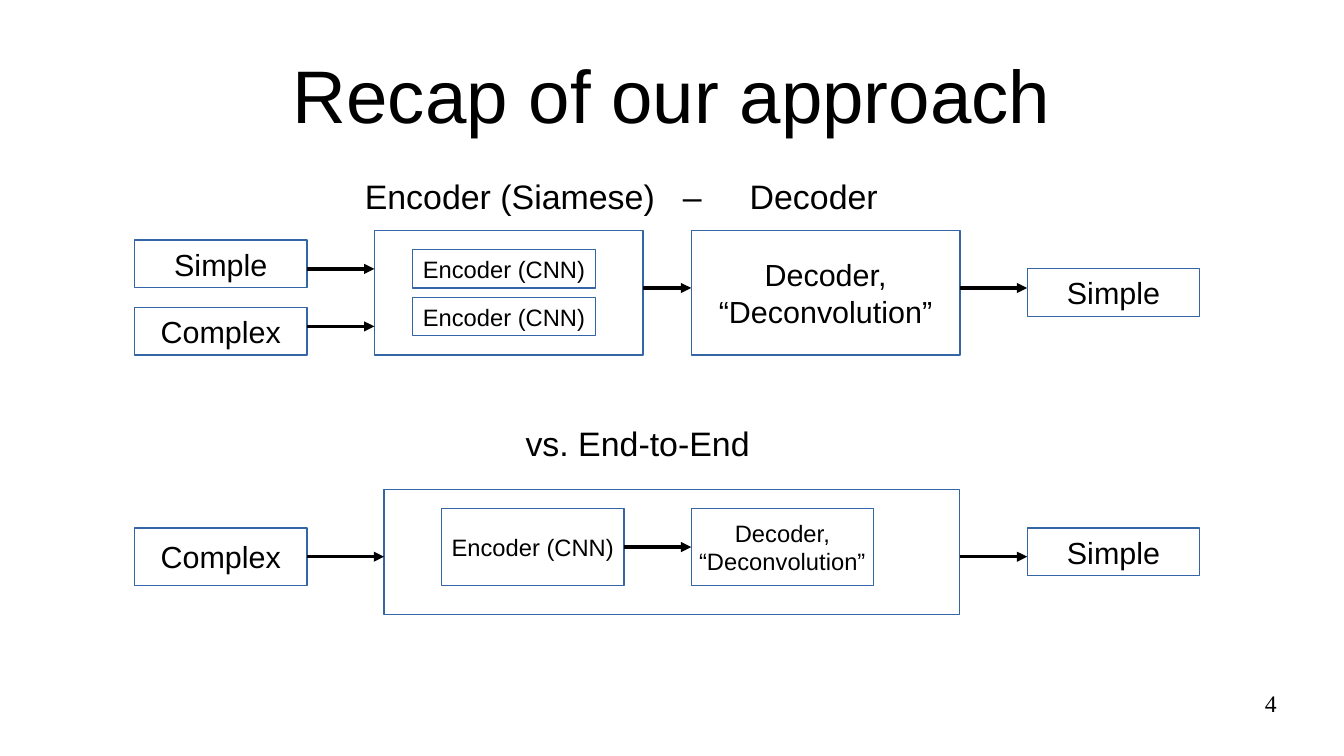
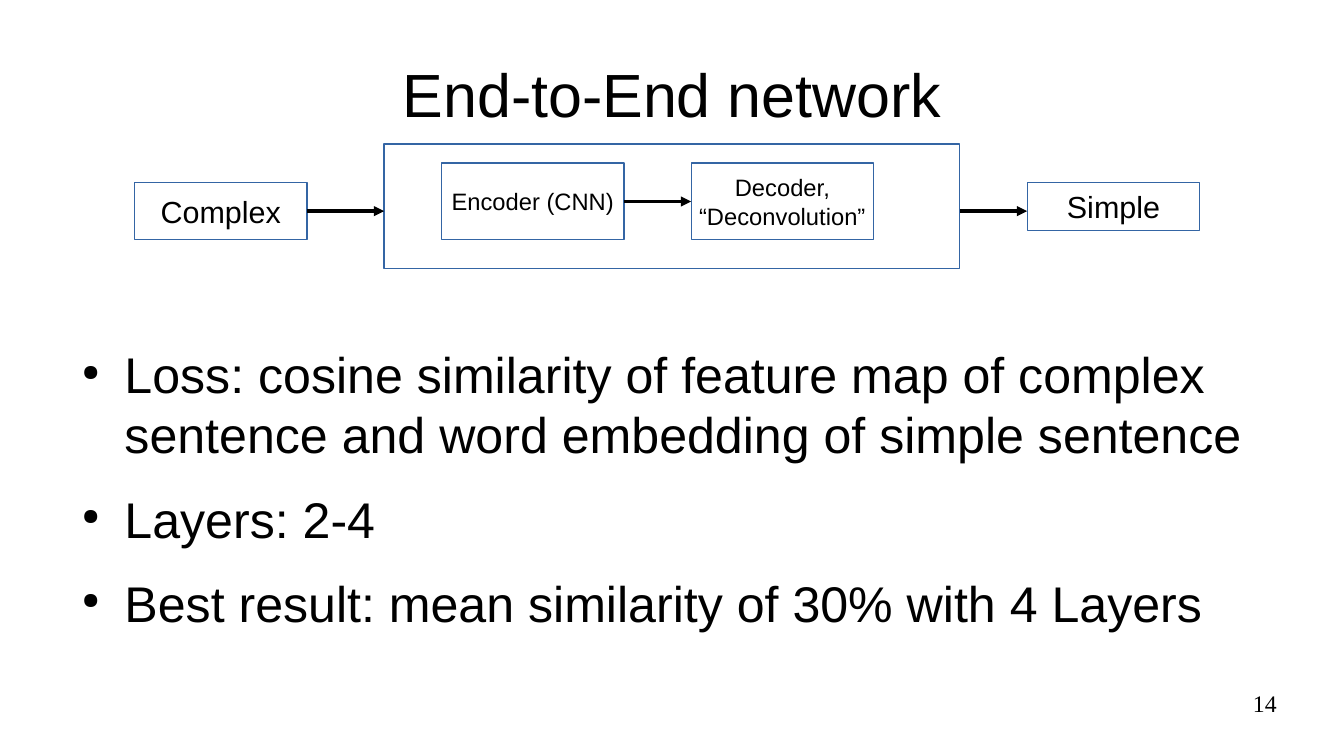
"""Build two slides on encoder and decoder networks."""
from typing import NamedTuple

import lxml.etree
import pptx
import pptx.dml.color
import pptx.enum.shapes
import pptx.enum.text
import pptx.oxml.ns
import pptx.slide
import pptx.text.text
import pptx.util

Pt = pptx.util.Pt
qn = pptx.oxml.ns.qn
Align = pptx.enum.text.PP_ALIGN
Anchor = pptx.enum.text.MSO_ANCHOR
INK = {"text": "000000", "edge": "3465A4", "page": "FFFFFF"}
WIDE, HIGH = 793.7, 446.5
EDGE, SPAN = 39.7, 714.3
INPUT, OUTPUT, DECODE = 79.4, 606.6, 408.2
PLAIN, BROAD, INNER = 102, 158.7, 107.7


class Box(NamedTuple):
    """An outlined box with an optional label."""
    left: float
    top: float
    width: float
    height: float
    text: str = ""
    size: float = 18


class Arrow(NamedTuple):
    """A level arrow."""
    start: float
    end: float
    top: float


def color(name: str) -> pptx.dml.color.RGBColor:
    """Look up a named colour."""
    return pptx.dml.color.RGBColor.from_string(INK[name])


def write(frame: pptx.text.text.TextFrame, text: str, *, size: float, font: str = "Arial",
          align: Align = Align.LEFT, anchor: Anchor = Anchor.TOP, wrap: bool = True,
          pad: tuple[float, float] = (0, 0), gap: float = 0,
          tabs: tuple[float, ...] = (), dots: bool = False) -> None:
    """Fill a frame with one paragraph per line of text."""
    frame.word_wrap, frame.vertical_anchor = wrap, anchor
    frame.margin_left = frame.margin_right = Pt(pad[0])
    frame.margin_top = frame.margin_bottom = Pt(pad[1])
    for rank, line in enumerate(text.split("\n")):
        para = frame.add_paragraph() if rank else frame.paragraphs[0]
        para.alignment = align
        if rank and gap:
            para.space_before = Pt(gap)
        props = para._p.get_or_add_pPr()
        if dots:
            props.set("marL", str(Pt(33.8)))
            props.set("indent", str(Pt(-25.2)))
            tint = lxml.etree.SubElement(props, qn("a:buClr"))
            lxml.etree.SubElement(tint, qn("a:srgbClr"), val=INK["text"])
            lxml.etree.SubElement(props, qn("a:buSzPct"), val="45000")
            lxml.etree.SubElement(props, qn("a:buChar"), char="●")
        if tabs:
            stops = lxml.etree.SubElement(props, qn("a:tabLst"))
            for stop in tabs:
                lxml.etree.SubElement(stops, qn("a:tab"), pos=str(Pt(stop)), algn="l")
        run = para.add_run()
        run.text = line
        run.font.size, run.font.name = Pt(size), font
        run.font.color.rgb = color("text")


def place(slide: pptx.slide.Slide, left: float, top: float, width: float,
          height: float) -> pptx.text.text.TextFrame:
    """Add a text box and return its frame."""
    return slide.shapes.add_textbox(Pt(left), Pt(top), Pt(width), Pt(height)).text_frame


def draw(slide: pptx.slide.Slide, box: Box) -> None:
    """Draw one outlined box."""
    shape = slide.shapes.add_shape(pptx.enum.shapes.MSO_SHAPE.RECTANGLE, Pt(box.left),
                                   Pt(box.top), Pt(box.width), Pt(box.height))
    shape.shadow.inherit = False
    shape.fill.background()
    shape.line.color.rgb = color("edge")
    shape.line.width = Pt(0)
    if box.text:
        write(shape.text_frame, box.text, size=box.size, align=Align.CENTER,
              anchor=Anchor.MIDDLE, wrap=False, pad=(7.2, 3.6))


def link(slide: pptx.slide.Slide, arrow: Arrow) -> None:
    """Draw one arrow."""
    line = slide.shapes.add_connector(pptx.enum.shapes.MSO_CONNECTOR.STRAIGHT, Pt(arrow.start),
                                      Pt(arrow.top), Pt(arrow.end), Pt(arrow.top))
    line.line.color.rgb = color("text")
    line.line.width = Pt(0)
    props = line.element.spPr
    lxml.etree.SubElement(props.find(qn("a:ln")), qn("a:tailEnd"), type="triangle")
    lxml.etree.SubElement(props, qn("a:effectLst"))


def chart(slide: pptx.slide.Slide, boxes: list[Box], arrows: list[Arrow]) -> None:
    """Draw boxes and the arrows between them."""
    for box in boxes:
        draw(slide, box)
    for arrow in arrows:
        link(slide, arrow)


def twin(slide: pptx.slide.Slide, top: float) -> None:
    """Draw the Siamese network below the given top."""
    boxes = [Box(INPUT, top + 5.7, PLAIN, 28.3, "Simple"),
             Box(INPUT, top + 45.4, PLAIN, 28.3, "Complex"),
             *(Box(243.8, top + 11.3 + 28.3 * row, INNER, 22.7, "Encoder (CNN)", 14)
               for row in range(2)),
             Box(221.1, top, BROAD, 73.7),
             Box(DECODE, top, BROAD, 73.7, "Decoder,\n“Deconvolution”"),
             Box(OUTPUT, top + 22.7, PLAIN, 28.3, "Simple")]
    arrows = [Arrow(181.4, 221.1, top + 22.7), Arrow(181.4, 221.1, top + 56.7),
              Arrow(379.8, DECODE, top + 34), Arrow(566.9, OUTPUT, top + 34)]
    chart(slide, boxes, arrows)


def chain(slide: pptx.slide.Slide, top: float) -> None:
    """Draw the end-to-end network below the given top."""
    boxes = [Box(INPUT, top + 22.7, PLAIN, 34, "Complex"),
             Box(226.8, top, 340.1, 73.7),
             Box(260.8, top + 11.3, INNER, 45.4, "Encoder (CNN)", 14),
             Box(DECODE, top + 11.3, INNER, 45.4, "Decoder,\n“Deconvolution”", 14),
             Box(OUTPUT, top + 22.7, PLAIN, 28.3, "Simple")]
    arrows = [Arrow(181.4, 226.8, top + 39.7), Arrow(368.5, DECODE, top + 34),
              Arrow(566.9, OUTPUT, top + 39.7)]
    chart(slide, boxes, arrows)


def start(deck: pptx.presentation.Presentation, title: str, size: float,
          page: int) -> pptx.slide.Slide:
    """Add a slide with its title and page number."""
    slide = deck.slides.add_slide(deck.slide_layouts[6])
    slide.background.fill.solid()
    slide.background.fill.fore_color.rgb = color("page")
    write(place(slide, EDGE, 17.8, SPAN, 74.6), title, size=size,
          align=Align.CENTER, anchor=Anchor.MIDDLE)
    write(place(slide, 569, 406.7, 185, 30.8), str(page), size=14,
          font="Times New Roman", align=Align.RIGHT)
    return slide


def main() -> None:
    """Build and save the deck."""
    deck = pptx.Presentation()
    deck.slide_width, deck.slide_height = Pt(WIDE), Pt(HIGH)

    recap = start(deck, "Recap of our approach", 44, 4)
    write(place(recap, 215.4, 103.7, 350, 24), "Encoder (Siamese)\t–\tDecoder",
          size=20, tabs=(187.8, 227.3))
    twin(recap, 136.1)
    write(place(recap, 310.4, 249.5, 200, 24), "vs. End-to-End", size=20)
    chain(recap, 289.1)

    final = start(deck, "End-to-End network", 36, 14)
    chain(final, 85)
    points = ("Loss: cosine similarity of feature map of complex sentence "
              "and word embedding of simple sentence",
              "Layers: 2-4",
              "Best result: mean similarity of 30% with 4 Layers")
    write(place(final, EDGE, 203, SPAN, 170), "\n".join(points), size=29.6, gap=14.2, dots=True)

    deck.save("out.pptx")


if __name__ == "__main__":
    main()
